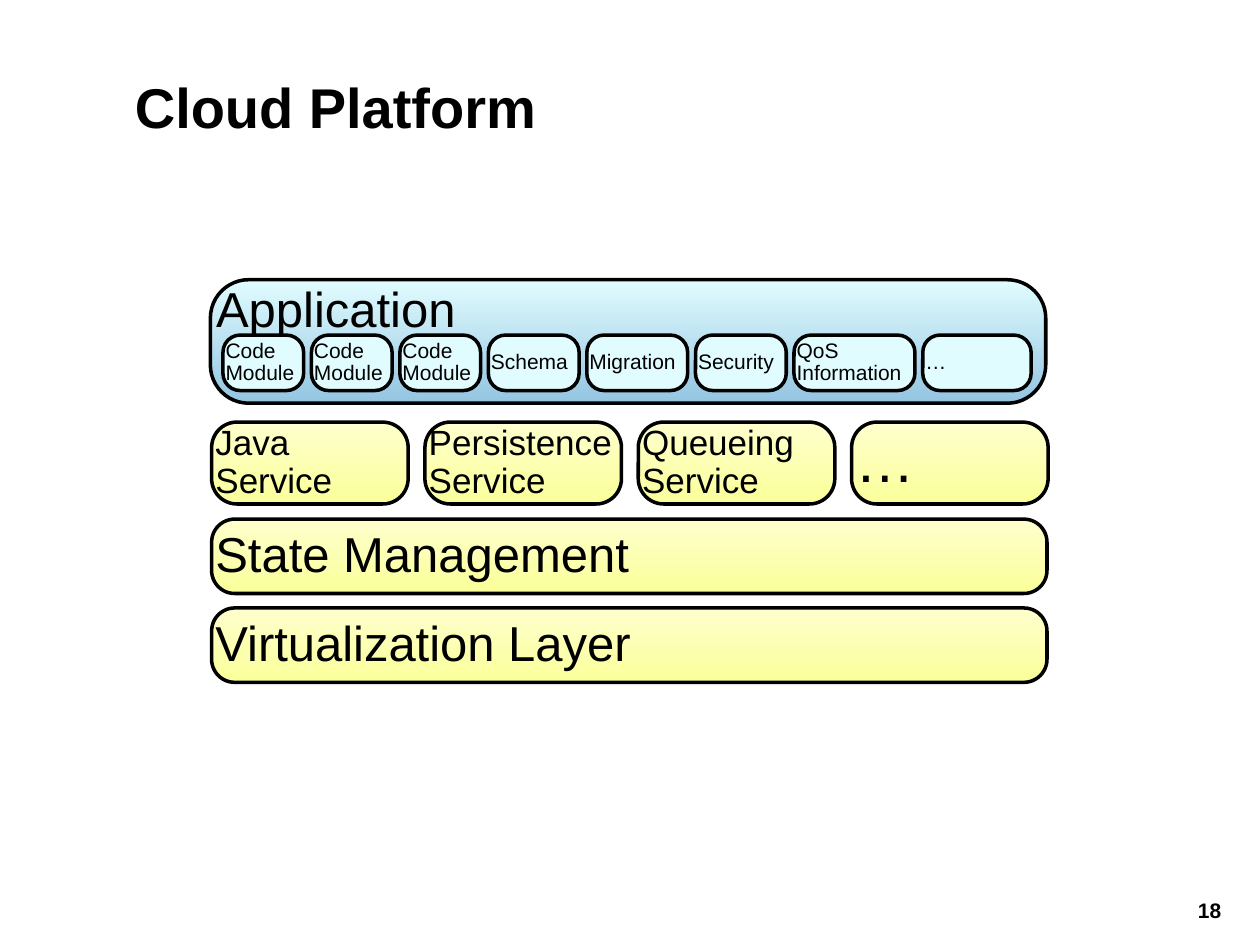
"""Build the Cloud Platform layer diagram slide."""
from dataclasses import dataclass
from typing import Any

from pptx import Presentation
from pptx import util as u
from pptx.dml import color
from pptx.enum import shapes, text

COLUMNS, ROWS = 100, 75
BLUE = ("E1FCFF", "94C5E1")
YELLOW = ("FEFFCC", "FAFF99")
PALE = ("E1FCFF",)


def rgb(value):
    """Turn a hex string into a colour."""
    return color.RGBColor.from_string(value)


@dataclass
class Canvas:
    """Hold the style and the current slide, measured on a 100 by 75 grid."""
    presentation: Any
    slide: Any
    font: str = "Arial"
    ink: str = "000000"
    outline: float = 2
    corner: float = 0.31
    spacing: float = 0.9

    def box(self, left, top, width, height):
        """Convert grid columns and rows to slide lengths."""
        across = self.presentation.slide_width / COLUMNS
        down = self.presentation.slide_height / ROWS
        return [u.Emu(round(length)) for length in
                (left * across, top * down, width * across, height * down)]

    def add_words(self, frame, lines, size, bold=False, spacing=None,
                  align=text.PP_ALIGN.LEFT, anchor=text.MSO_ANCHOR.MIDDLE):
        """Fill a text frame with one paragraph per line."""
        frame.word_wrap = True
        frame.auto_size = text.MSO_AUTO_SIZE.NONE
        frame.vertical_anchor = anchor
        for index, line in enumerate(lines.split("\n")):
            paragraph = frame.add_paragraph() if index else frame.paragraphs[0]
            paragraph.alignment = align
            paragraph.line_spacing = spacing or self.spacing
            run = paragraph.add_run()
            run.text = line
            run.font.name, run.font.size, run.font.bold = self.font, u.Pt(size), bold
            run.font.color.rgb = rgb(self.ink)

    def title(self, words, *place):
        """Place and format the title placeholder."""
        shape = self.slide.shapes.title
        shape.left, shape.top, shape.width, shape.height = self.box(*place)
        self.add_words(shape.text_frame, words, 32, bold=True, spacing=1)

    def number(self, words, *place):
        """Add the slide number."""
        shape = self.slide.shapes.add_textbox(*self.box(*place))
        self.add_words(shape.text_frame, words, 12, bold=True,
                       align=text.PP_ALIGN.CENTER, anchor=text.MSO_ANCHOR.TOP)

    def block(self, words, left, top, width, height, fill, size,
              inset=0.3, anchor=text.MSO_ANCHOR.MIDDLE):
        """Add a rounded block grouped with its label."""
        group = self.slide.shapes.add_group_shape()
        shape = group.shapes.add_shape(shapes.MSO_SHAPE.ROUNDED_RECTANGLE,
                                       *self.box(left, top, width, height))
        shape.adjustments[0] = self.corner
        shape.shadow.inherit = False
        shape.line.color.rgb = rgb(self.ink)
        shape.line.width = u.Pt(self.outline)
        if len(fill) == 1:
            shape.fill.solid()
            shape.fill.fore_color.rgb = rgb(fill[0])
        else:
            shape.fill.gradient()
            shape.fill.gradient_angle = 270
            for stop, value in zip(shape.fill.gradient_stops, fill):
                stop.color.rgb = rgb(value)
        label = group.shapes.add_textbox(
            *self.box(left + inset, top + inset, width - 2 * inset, height - 2 * inset))
        frame = label.text_frame
        frame.margin_left = frame.margin_right = frame.margin_top = frame.margin_bottom = 0
        self.add_words(frame, words, size, anchor=anchor)

    def row(self, blocks, left, top, height, gap, fill, inset=0.3):
        """Add blocks side by side with equal gaps."""
        for words, width, size in blocks:
            self.block(words, left, top, width, height, fill, size, inset)
            left += width + gap


def main():
    """Build and save the slide."""
    presentation = Presentation()
    presentation.slide_width, presentation.slide_height = u.Inches(10), u.Inches(7.5)
    slide = presentation.slides.add_slide(presentation.slide_layouts[5])
    canvas = Canvas(presentation, slide)

    canvas.title("Cloud Platform", 9.7, 3.3, 82.9, 10.3)
    canvas.block("Application", 16.7, 22.2, 66.3, 9.8, BLUE, 28, 0.45, text.MSO_ANCHOR.TOP)
    modules = [("Code\nModule", 6.4, 12)] * 3 + [
        ("Schema", 7.2, 12), ("Migration", 8, 12), ("Security", 7.2, 12),
        ("QoS Information", 9.6, 12), ("…", 8.6, 12)]
    canvas.row(modules, 17.7, 26.6, 4.4, 0.62, PALE, 0.2)
    services = [("Java\nService", 15.6, 20), ("Persistence\nService", 15.6, 20),
                ("Queueing\nService", 15.6, 20), ("…", 15.6, 34)]
    canvas.row(services, 16.8, 33.5, 6.5, 1.33, YELLOW)
    for index, layer in enumerate(("State Management", "Virtualization Layer")):
        canvas.block(layer, 16.8, 41.2 + 7.05 * index, 66.3, 5.9, YELLOW, 28)
    canvas.number("18", 93.5, 71, 5, 2.8)

    presentation.save("out.pptx")


if __name__ == "__main__":
    main()
